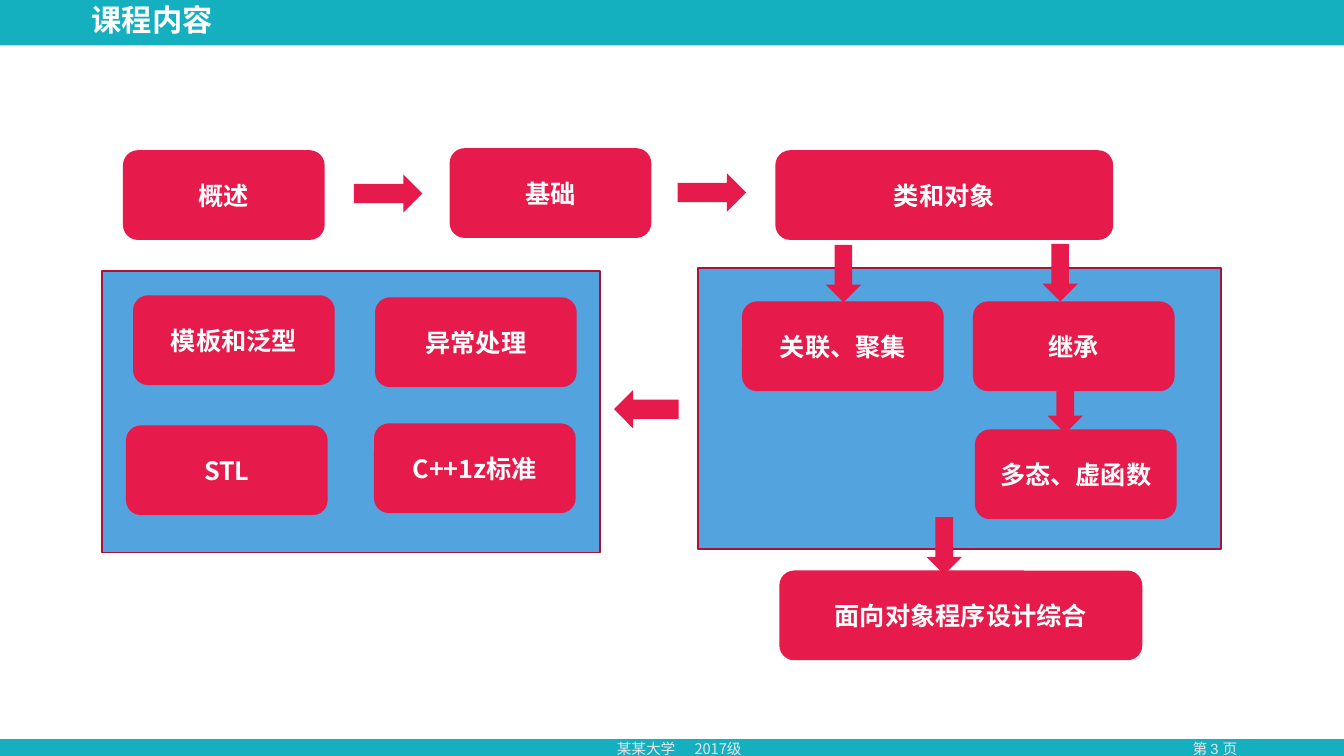
from lxml.etree import SubElement
from pptx import Presentation
from pptx.dml.color import RGBColor
from pptx.enum.shapes import MSO_SHAPE
from pptx.enum.text import MSO_ANCHOR, PP_ALIGN
from pptx.oxml.ns import qn
from pptx.util import Inches, Pt

TEAL = RGBColor(0x14, 0xB0, 0xC0)
RED = RGBColor(0xE6, 0x1A, 0x4B)
DARK_RED = RGBColor(0xAA, 0x13, 0x37)
BLUE = RGBColor(0x53, 0xA3, 0xDE)
WHITE = RGBColor(0xFF, 0xFF, 0xFF)
LIGHT_GRAY = RGBColor(0xE7, 0xE6, 0xE6)
FONT = "Noto Sans CJK SC"

# The grid has square cells: 133.3 columns by 75 rows
CELL = Inches(0.1)
COLUMNS, ROWS = 133.3, 75
TOPIC_WIDTH, TOPIC_HEIGHT = 20, 8.9


class CourseMap:
    def __init__(self, page):
        self.page = page

    def place(self, *lengths):
        return [round(length * CELL) for length in lengths]

    def shape(self, kind, left, top, width, height, fill, line=None):
        shape = self.page.shapes.add_shape(
            kind, *self.place(left, top, width, height))
        shape.shadow.inherit = False
        shape.fill.solid()
        shape.fill.fore_color.rgb = fill
        if line is None:
            shape.line.fill.background()
        else:
            shape.line.color.rgb = line
            shape.line.width = Pt(1.25)
        return shape

    def label(self, box, text, size, color=WHITE, bold=False, font=FONT,
              align=PP_ALIGN.CENTER, anchor=MSO_ANCHOR.MIDDLE):
        frame = box.text_frame
        frame.word_wrap = True
        frame.vertical_anchor = anchor
        para = frame.paragraphs[0]
        para.text = text
        para.alignment = align
        para.font.size = Pt(size)
        para.font.bold = bold
        para.font.color.rgb = color
        para.font.name = font
        # Chinese characters take their font from a:ea
        properties = para._p.pPr.find(qn("a:defRPr"))
        SubElement(properties, qn("a:ea"), typeface=FONT)
        return para

    def text(self, left, top, width, height, text, size, **style):
        box = self.page.shapes.add_textbox(
            *self.place(left, top, width, height))
        return self.label(box, text, size, **style)

    def band(self, top, height, fill):
        self.shape(MSO_SHAPE.RECTANGLE, 0, top, COLUMNS, height, fill)

    def panel(self, left, top, width):
        self.shape(MSO_SHAPE.RECTANGLE, left, top, width, 27.9, BLUE, DARK_RED)

    def topic(self, text, left, top, width=TOPIC_WIDTH):
        box = self.shape(MSO_SHAPE.ROUNDED_RECTANGLE, left, top,
                         width, TOPIC_HEIGHT, RED)
        self.label(box, text, 18, bold=True)

    def across(self, kind, left, top, width=6.8):
        self.shape(kind, left, top, width, 3.8, RED)

    def down(self, left, top):
        self.shape(MSO_SHAPE.DOWN_ARROW, left, top, 3.5, 5.7, RED)


def main():
    deck = Presentation()
    deck.slide_width, deck.slide_height = Inches(13.33), Inches(7.5)
    course = CourseMap(deck.slides.add_slide(deck.slide_layouts[6]))

    # Background bands
    course.band(0, ROWS, TEAL)
    course.band(4.5, 68.8, WHITE)

    # Footer
    footer = {"color": LIGHT_GRAY, "anchor": MSO_ANCHOR.TOP}
    course.text(113.2, 72.9, 14.6, 2.8, "第 3 页", 10.5, font="Arial", **footer)
    school = course.text(60.2, 72.9, 18.4, 2.8, "某某大学\t2017级", 10.5,
                         align=PP_ALIGN.LEFT, **footer)
    tabs = school._p.pPr.makeelement(qn("a:tabLst"))
    SubElement(tabs, qn("a:tab"), pos=str(Inches(0.77)), algn="l")
    school._p.pPr.insert(0, tabs)

    # Title
    title = course.text(8.1, 0, 95, 4.4, "课程内容", 21.6, bold=True,
                        align=PP_ALIGN.LEFT)
    title.line_spacing = 0.9

    # Panels behind the topics
    course.panel(10.1, 26.9, 49.4)
    course.panel(69.2, 26.6, 51.9)

    # Opening topics
    course.topic("概述", 12.2, 14.9)
    course.topic("基础", 44.6, 14.7)
    course.topic("类和对象", 76.9, 14.9, 33.5)

    # Object-oriented topics
    course.topic("关联、聚集", 73.6, 29.9)
    course.topic("继承", 96.5, 29.9)
    course.topic("多态、虚函数", 96.7, 42.6)
    course.topic("面向对象程序设计综合", 77.3, 56.6, 36)

    # Advanced topics
    course.topic("异常处理", 37.2, 29.5)
    course.topic("模板和泛型", 13.2, 29.3)
    course.topic("STL", 12.5, 42.2)
    course.topic("C++1z标准", 37.1, 42)

    # Arrows between the topics
    course.across(MSO_SHAPE.RIGHT_ARROW, 35.1, 17.3)
    course.across(MSO_SHAPE.RIGHT_ARROW, 67.2, 17.2)
    course.across(MSO_SHAPE.LEFT_ARROW, 60.9, 38.7, 6.4)
    for left, top in ((81.9, 24.3), (103.4, 24.2), (103.9, 37.3), (91.9, 51.3)):
        course.down(left, top)

    deck.save("out.pptx")


if __name__ == "__main__":
    main()
